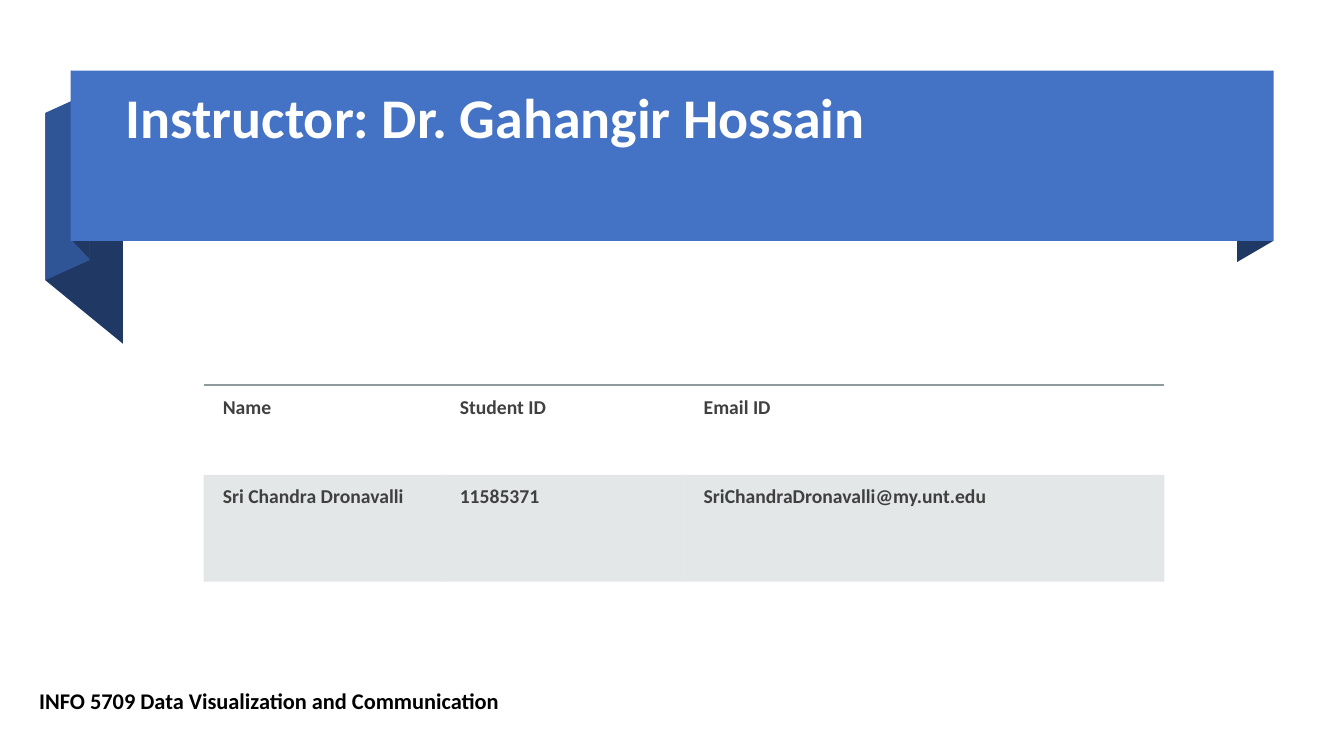
from lxml.etree import SubElement
from pptx import Presentation
from pptx.dml.color import RGBColor
from pptx.enum.shapes import MSO_SHAPE
from pptx.enum.text import MSO_ANCHOR
from pptx.oxml import parse_xml
from pptx.oxml.ns import nsdecls, qn
from pptx.util import Inches, Pt

WHITE = RGBColor(0xFF, 0xFF, 0xFF)
BLACK = RGBColor(0x00, 0x00, 0x00)
BLUE = RGBColor(0x44, 0x72, 0xC4)
MID_BLUE = RGBColor(0x2F, 0x55, 0x97)
NAVY = RGBColor(0x20, 0x38, 0x64)
CHARCOAL = RGBColor(0x40, 0x40, 0x40)
ROW_GREY = RGBColor(0xB4, 0xBC, 0xBE)
RULE_GREY = RGBColor(0x8F, 0x9A, 0x9D)

PLAIN_TABLE = "{2D5ABB26-0587-4C30-8999-92F81FD0307C}"

FOLDS = [
    (11.82, 12.18, 0.21, 0, 1.69, NAVY),
    (0, 0.77, 0.42, 1.05, 1.66, NAVY),
    (0, 0.44, 0.42, 0.22, 1.66, MID_BLUE),
    (0.26, 0.44, 0, 0.19, 1.68, NAVY),
]
STUDENTS = [
    ("Name", "Student ID", "Email ID"),
    ("Sri Chandra Dronavalli", "11585371", "SriChandraDronavalli@my.unt.edu"),
]


def set_all(target, values):
    for name, value in values.items():
        setattr(target, name, value)


def write(paragraph, words, size, color):
    paragraph.text = words
    font = paragraph.runs[0].font
    set_all(font, {"name": "Calibri", "size": Pt(size), "bold": True})
    font.color.rgb = color


def paint(shape, color):
    shape.fill.solid()
    shape.fill.fore_color.rgb = color
    shape.line.fill.background()
    shape.shadow.inherit = False


def add_line_of_text(slide, left, top, width, height, words, size, color):
    frame = slide.shapes.add_textbox(
        Inches(left), Inches(top), Inches(width), Inches(height)).text_frame
    set_all(frame, {"word_wrap": True, "vertical_anchor": MSO_ANCHOR.TOP})
    paragraph = frame.paragraphs[0]
    write(paragraph, words, size, color)
    set_all(paragraph, {"line_spacing": 0.9, "space_after": Pt(6)})


def add_ribbon(slide, left, top, width):
    for near, far, near_top, far_top, height, color in FOLDS:
        corners = [
            (Inches(left + x), Inches(top + y))
            for x, y in ((near, near_top), (far, far_top),
                         (far, far_top + height), (near, near_top + height))
        ]
        outline = slide.shapes.build_freeform(*corners[0])
        outline.add_line_segments(corners[1:], close=True)
        paint(outline.convert_to_shape(), color)
    band = slide.shapes.add_shape(
        MSO_SHAPE.RECTANGLE, Inches(left + 0.25), Inches(top),
        Inches(width - 0.25), Inches(1.69))
    paint(band, BLUE)
    add_line_of_text(slide, left + 0.7, top + 0.15, width - 0.91, 1.4,
                     "Instructor: Dr. Gahangir Hossain", 40, WHITE)


def shade(cell):
    cell.fill.solid()
    cell.fill.fore_color.rgb = ROW_GREY
    tint = cell._tc.tcPr.find(qn("a:solidFill"))[0]
    SubElement(tint, qn("a:alpha"), val="35000")


def rule_above(cell):
    cell._tc.get_or_add_tcPr().insert(0, parse_xml(
        f'<a:lnT {nsdecls("a")} w="{Pt(1.5)}"><a:solidFill>'
        f'<a:srgbClr val="{RULE_GREY}"><a:alpha val="60000"/></a:srgbClr>'
        '</a:solidFill><a:prstDash val="solid"/></a:lnT>'))


def add_student_table(slide, left, top, width, height):
    table = slide.shapes.add_table(
        len(STUDENTS), len(STUDENTS[0]), Inches(left), Inches(top),
        Inches(width), Inches(height)).table
    set_all(table, {"first_row": False, "horz_banding": False})
    table._tbl.tblPr.find(qn("a:tableStyleId")).text = PLAIN_TABLE
    for column, share in zip(table.columns, (2.35, 2.42, 4.76)):
        column.width = Inches(width * share / 9.53)
    for row, share in zip(table.rows, (0.89, 1.06)):
        row.height = Inches(height * share / 1.95)
    for r, student in enumerate(STUDENTS):
        inset = Inches(0.1 if r else 0.11)
        for c, words in enumerate(student):
            cell = table.cell(r, c)
            set_all(cell, {"margin_left": Inches(0.19), "margin_right": inset,
                           "margin_top": inset, "margin_bottom": inset})
            write(cell.text_frame.paragraphs[0], words, 14, CHARCOAL)
            if r:
                shade(cell)
            else:
                cell.fill.background()
                rule_above(cell)


def main():
    deck = Presentation()
    set_all(deck, {"slide_width": Inches(13.33), "slide_height": Inches(7.5)})
    slide = deck.slides.add_slide(deck.slide_layouts[6])
    add_ribbon(slide, 0.45, 0.7, 12.18)
    add_line_of_text(slide, 0.29, 6.8, 8.19, 0.5,
                     "INFO 5709 Data Visualization and Communication", 16, BLACK)
    add_student_table(slide, 2.02, 3.82, 9.53, 1.95)
    deck.save("out.pptx")


if __name__ == "__main__":
    main()
